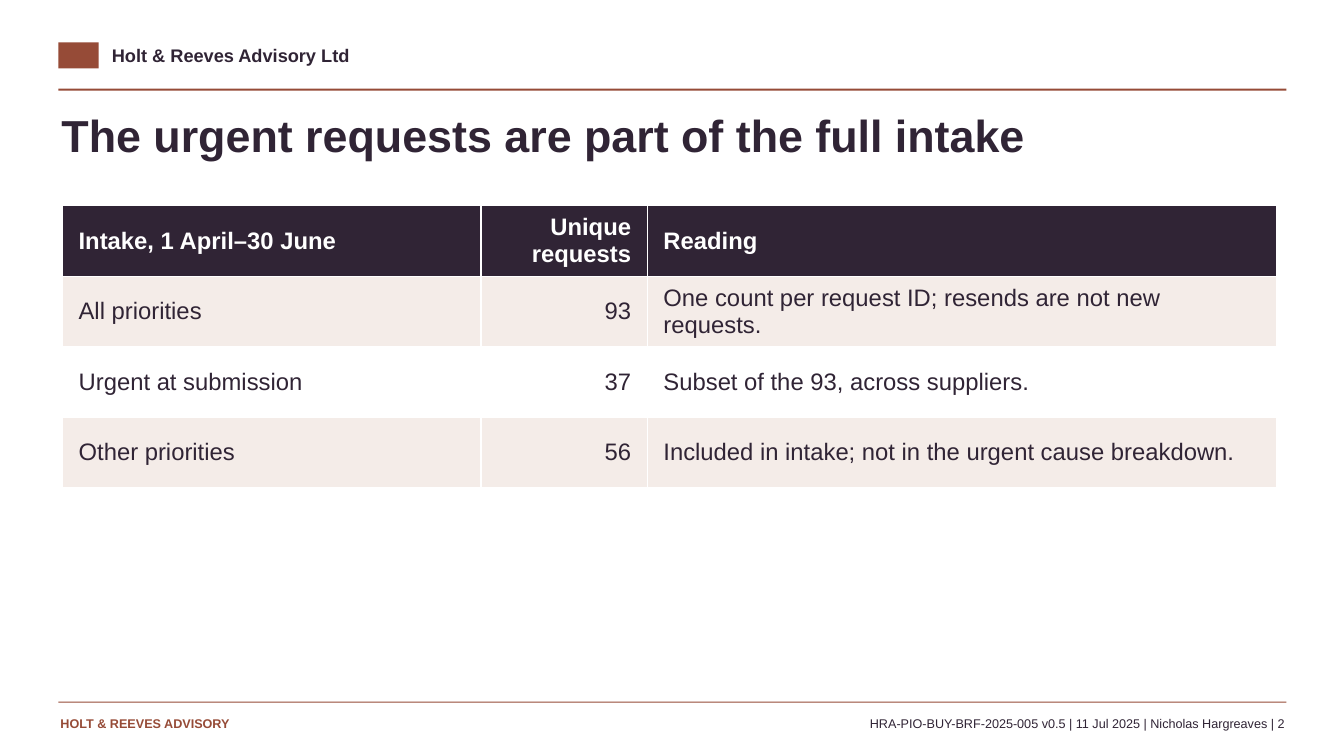
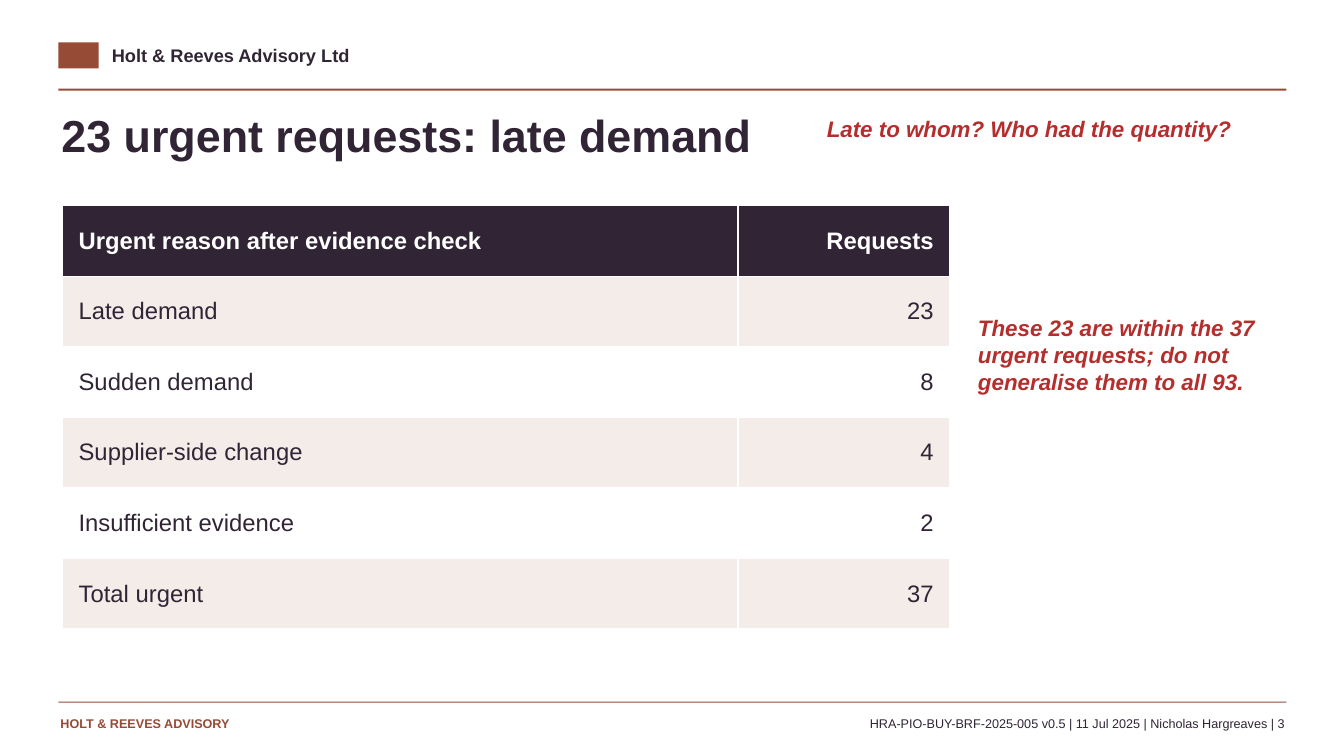
from pptx import Presentation
from pptx.dml.color import RGBColor
from pptx.enum.shapes import MSO_SHAPE as Shape
from pptx.enum.text import MSO_ANCHOR as Anchor, PP_ALIGN as Align
from pptx.util import Inches, Pt

SLIDE_W, SLIDE_H = 13.33, 7.5
FONT = "Arial"
PLUM, RUST, RED = "302435", "964B37", "B52E2E"
WHITE, BLUSH = "FFFFFF", "F4ECE8"

# Shared boxes: left, top, width, height
HEADER = (0.58, 0.42, 12.18, 0.48)
FOOTER = (0.58, 6.96, 12.18, 0.39)
TITLE = (0.61, 1.07, 12, 0.78)
TABLE_LEFT, TABLE_TOP, ROW_H = 0.62, 2.04, 0.7
REFERENCE = "HRA-PIO-BUY-BRF-2025-005 v0.5 | 11 Jul 2025 | Nicholas Hargreaves"


def rgb(color):
    return RGBColor.from_string(color)


def style(p, size, color, bold=False, italic=False, align=Align.LEFT):
    p.alignment = align
    f = p.font
    f.name, f.size, f.bold, f.italic = FONT, Pt(size), bold, italic
    f.color.rgb = rgb(color)


def add_text(s, box, text, size, color, inset=(0, 0), **kw):
    tf = s.shapes.add_textbox(*map(Inches, box)).text_frame
    tf.word_wrap = True
    tf.margin_left = tf.margin_right = Inches(inset[0])
    tf.margin_top = tf.margin_bottom = Inches(inset[1])
    p = tf.paragraphs[0]
    p.text = text
    style(p, size, color, **kw)


def add_block(s, box, color):
    sp = s.shapes.add_shape(Shape.RECTANGLE, *map(Inches, box))
    sp.shadow.inherit = False
    sp.fill.solid()
    sp.fill.fore_color.rgb = rgb(color)
    sp.line.fill.background()


def add_header(s, box):
    x, y, w, h = box
    add_block(s, (x, y, 0.4, 0.26), RUST)  # plain brand marker
    add_text(s, (x + 0.53, y + 0.02, 6, 0.27), "Holt & Reeves Advisory Ltd",
             13, PLUM, bold=True)
    add_block(s, (x, y + h - 0.02, w, 0.02), RUST)


def add_footer(s, box, number):
    x, y, w, h = box
    add_block(s, (x, y, w, 0.01), RUST)
    text_top, text_h = y + 0.14, h - 0.14
    add_text(s, (x + 0.02, text_top, 3.4, text_h), "HOLT & REEVES ADVISORY",
             9, RUST, bold=True)
    add_text(s, (x + 3.54, text_top, w - 3.56, text_h),
             f"{REFERENCE} | {number}", 9, PLUM, align=Align.RIGHT)


def add_table(s, left, top, col_widths, rows, number_col=1):
    """Dark heading row, then rows in alternating tints."""
    table = s.shapes.add_table(
        len(rows), len(col_widths), Inches(left), Inches(top),
        Inches(sum(col_widths)), Inches(ROW_H * len(rows))).table
    for col, width in zip(table.columns, col_widths):
        col.width = Inches(width)
    for r, row in enumerate(rows):
        table.rows[r].height = Inches(ROW_H)
        heading = r == 0
        fill = PLUM if heading else BLUSH if r % 2 else WHITE
        for c, text in enumerate(row):
            cell = table.cell(r, c)
            cell.fill.solid()
            cell.fill.fore_color.rgb = rgb(fill)
            cell.vertical_anchor = Anchor.MIDDLE
            cell.margin_left = cell.margin_right = Inches(0.16)
            cell.margin_top = cell.margin_bottom = Inches(0.05)
            cell.text = text
            style(cell.text_frame.paragraphs[0], 17,
                  WHITE if heading else PLUM, bold=heading,
                  align=Align.RIGHT if c == number_col else Align.LEFT)


def add_note(s, box, text):
    add_text(s, box, text, 16, RED, inset=(0.05, 0.02), bold=True, italic=True)


def add_table_slide(prs, number, title, col_widths, rows, notes=()):
    s = prs.slides.add_slide(prs.slide_layouts[6])
    s.background.fill.solid()
    s.background.fill.fore_color.rgb = rgb(WHITE)
    add_header(s, HEADER)
    add_text(s, TITLE, title, 32, PLUM, bold=True)
    add_table(s, TABLE_LEFT, TABLE_TOP, col_widths, rows)
    add_footer(s, FOOTER, number)
    for box, text in notes:
        add_note(s, box, text)


def main():
    prs = Presentation()
    prs.slide_width, prs.slide_height = Inches(SLIDE_W), Inches(SLIDE_H)

    # Full intake
    add_table_slide(
        prs, 2, "The urgent requests are part of the full intake",
        (4.15, 1.65, 6.24),
        [("Intake, 1 April–30 June", "Unique requests", "Reading"),
         ("All priorities", "93",
          "One count per request ID; resends are not new requests."),
         ("Urgent at submission", "37", "Subset of the 93, across suppliers."),
         ("Other priorities", "56",
          "Included in intake; not in the urgent cause breakdown.")])

    # Urgent reasons, with review notes
    add_table_slide(
        prs, 3, "23 urgent requests: late demand",
        (6.7, 2.1),
        [("Urgent reason after evidence check", "Requests"),
         ("Late demand", "23"),
         ("Sudden demand", "8"),
         ("Supplier-side change", "4"),
         ("Insufficient evidence", "2"),
         ("Total urgent", "37")],
        notes=[((8.15, 1.12, 4.35, 0.68),
                "Late to whom? Who had the quantity?"),
               ((9.65, 3.1, 3, 1.55),
                "These 23 are within the 37 urgent requests; "
                "do not generalise them to all 93.")])

    prs.save("out.pptx")


if __name__ == "__main__":
    main()
